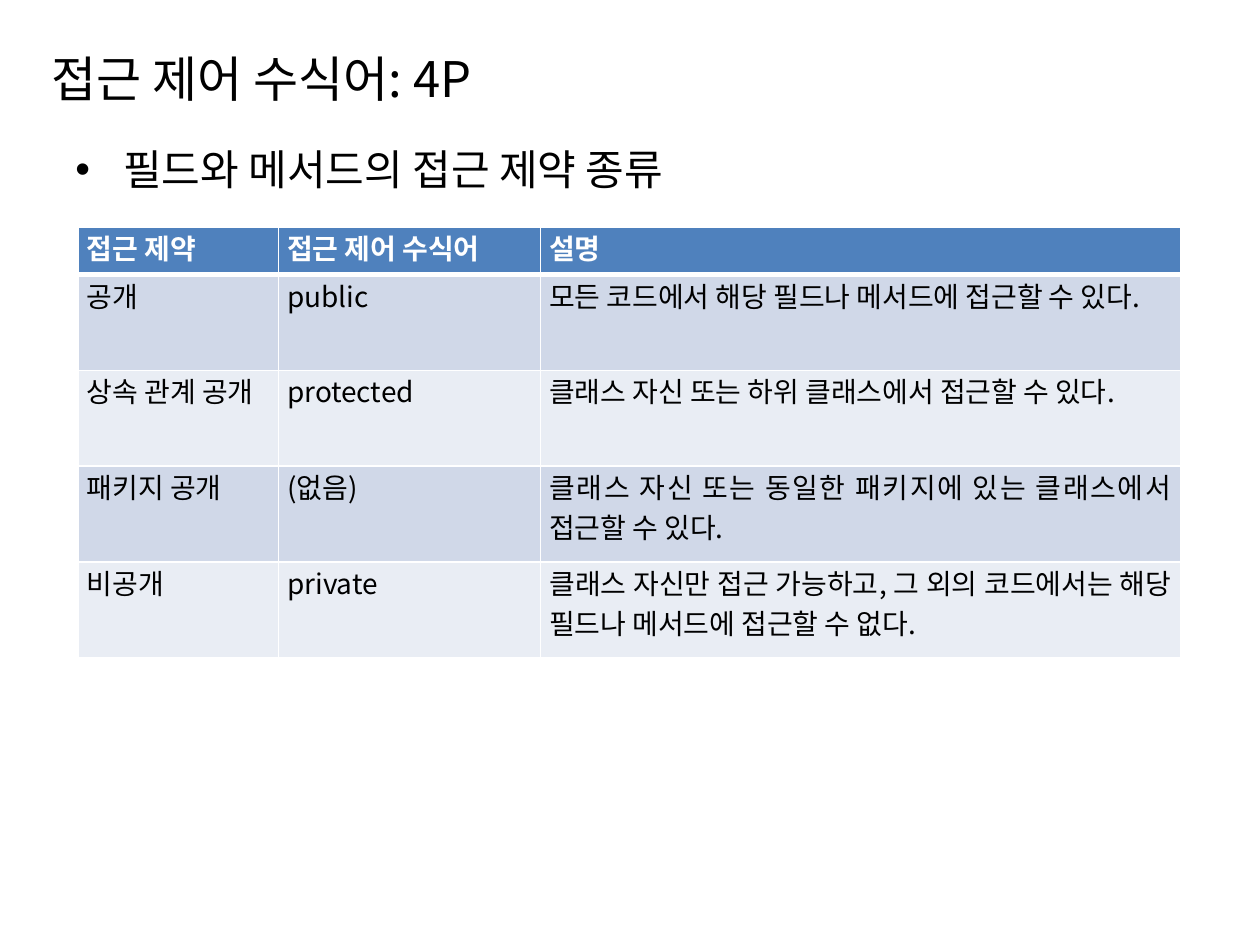
from lxml.etree import SubElement
from pptx import Presentation
from pptx.dml.color import RGBColor
from pptx.enum.text import MSO_ANCHOR, PP_ALIGN
from pptx.oxml.ns import qn
from pptx.util import Inches, Pt

FONT = "Noto Sans CJK KR"
BLACK = RGBColor(0x00, 0x00, 0x00)
WHITE = RGBColor(0xFF, 0xFF, 0xFF)
BLUE = RGBColor(0x4F, 0x81, 0xBD)
BANDS = [RGBColor(0xD0, 0xD8, 0xE8), RGBColor(0xE9, 0xED, 0xF4)]

COL_WIDTHS = [1.59, 2.08, 5.08]
ROW_HEIGHTS = [0.38] + [0.76] * 4
ROWS = [
    ("접근 제약", "접근 제어 수식어", "설명"),
    ("공개", "public", "모든 코드에서 해당 필드나 메서드에 접근할 수 있다."),
    ("상속 관계 공개", "protected", "클래스 자신 또는 하위 클래스에서 접근할 수 있다."),
    ("패키지 공개", "(없음)", "클래스 자신 또는 동일한 패키지에 있는 클래스에서 접근할 수 있다."),
    ("비공개", "private",
     "클래스 자신만 접근 가능하고, 그 외의 코드에서는 해당 필드나 메서드에 접근할 수 없다."),
]


def add_run(p, text, size, color=BLACK, bold=False):
    """Add a run in the slide font for both Latin and Korean text."""
    r = p.add_run()
    r.text = text
    r.font.size = Pt(size)
    r.font.bold = bold
    r.font.color.rgb = color
    r.font.name = FONT
    SubElement(r._r.get_or_add_rPr(), qn("a:ea"), typeface=FONT)


def add_text_frame(s, x, y, w, h):
    """Add a wrapping text box and return its text frame."""
    tf = s.shapes.add_textbox(Inches(x), Inches(y), Inches(w), Inches(h)).text_frame
    tf.word_wrap = True
    return tf


def add_title(s, x, y, w, h):
    """Place the slide title."""
    tf = add_text_frame(s, x, y, w, h)
    tf.vertical_anchor = MSO_ANCHOR.MIDDLE
    add_run(tf.paragraphs[0], "접근 제어 수식어: 4P", 28)


def add_body(s, x, y, w, h):
    """Place the bulleted lead line."""
    p = add_text_frame(s, x, y, w, h).paragraphs[0]
    pPr = p._p.get_or_add_pPr()
    indent = Inches(0.38)
    pPr.set("marL", str(indent))
    pPr.set("indent", str(-indent))
    SubElement(pPr, qn("a:buFont"), typeface="Arial")
    SubElement(pPr, qn("a:buChar"), char="•")
    add_run(p, "필드와 메서드의 접근 제약 종류", 24)


def set_borders(cell, bottom):
    """Draw white cell borders, with the given bottom width in points."""
    tcPr = cell._tc.get_or_add_tcPr()
    widths = {"a:lnL": 1, "a:lnR": 1, "a:lnT": 1, "a:lnB": bottom}
    for i, (tag, width) in enumerate(widths.items()):
        ln = SubElement(tcPr, qn(tag), w=str(Pt(width)))
        fill = SubElement(ln, qn("a:solidFill"))
        SubElement(fill, qn("a:srgbClr"), val=str(WHITE))
        tcPr.insert(i, ln)


def fill_cell(cell, text, header, band):
    """Write and style one table cell."""
    cell.margin_left = cell.margin_right = Inches(0.07)
    cell.margin_top = cell.margin_bottom = 0
    cell.fill.solid()
    cell.fill.fore_color.rgb = BLUE if header else band
    set_borders(cell, 3 if header else 1)
    p = cell.text_frame.paragraphs[0]
    p.alignment = PP_ALIGN.JUSTIFY
    add_run(p, text, 16, WHITE if header else BLACK, header)


def add_modifier_table(s, x, y, w, h):
    """Place the table of access modifiers."""
    table = s.shapes.add_table(len(ROWS), len(COL_WIDTHS), Inches(x), Inches(y),
                               Inches(w), Inches(h)).table
    for col, width in zip(table.columns, COL_WIDTHS):
        col.width = Inches(width)
    for i, (row, height) in enumerate(zip(table.rows, ROW_HEIGHTS)):
        row.height = Inches(height)
        for cell, text in zip(row.cells, ROWS[i]):
            fill_cell(cell, text, i == 0, BANDS[(i - 1) % 2])


def main():
    """Build and save the slide."""
    prs = Presentation()
    prs.slide_width, prs.slide_height = Inches(10), Inches(7.5)
    s = prs.slides.add_slide(prs.slide_layouts[6])
    add_title(s, 0.31, 0.3, 9.45, 0.64)
    add_body(s, 0.5, 1.09, 9, 5.61)
    add_modifier_table(s, 0.62, 1.8, sum(COL_WIDTHS), sum(ROW_HEIGHTS))
    prs.save("out.pptx")


if __name__ == "__main__":
    main()
